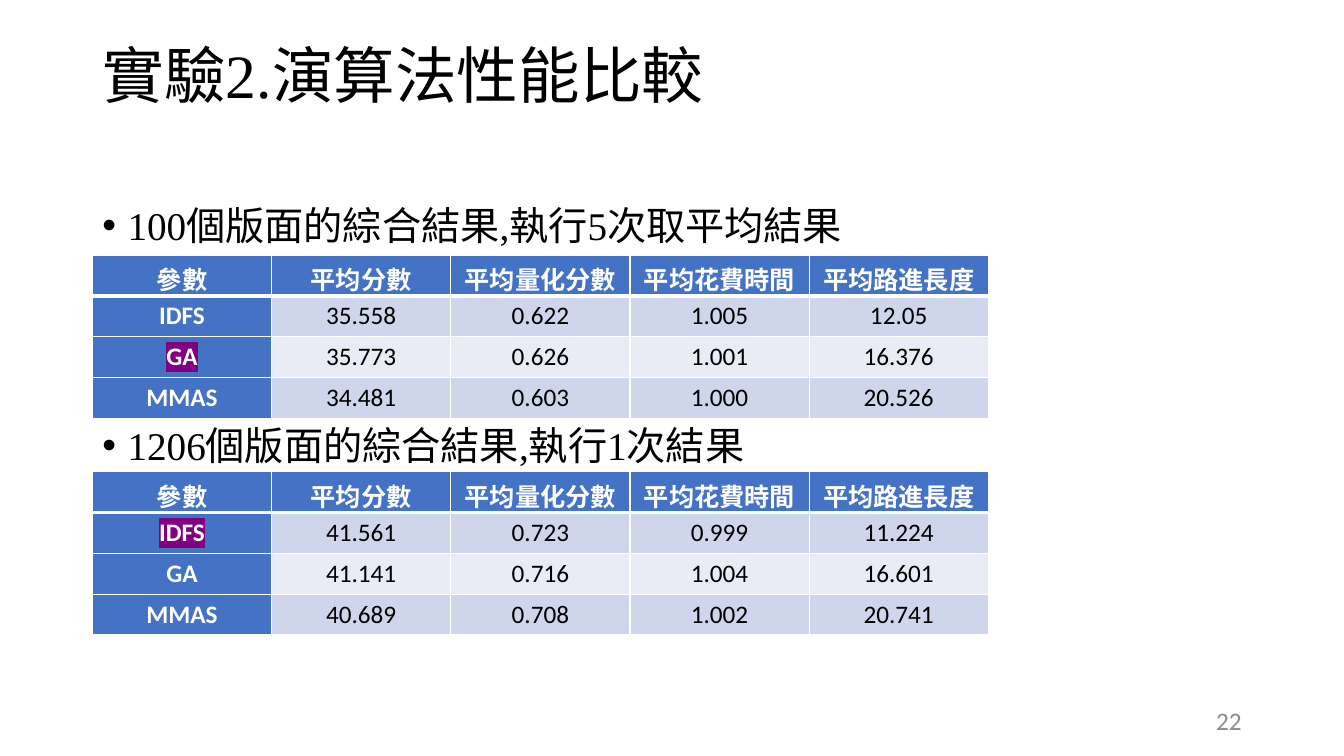
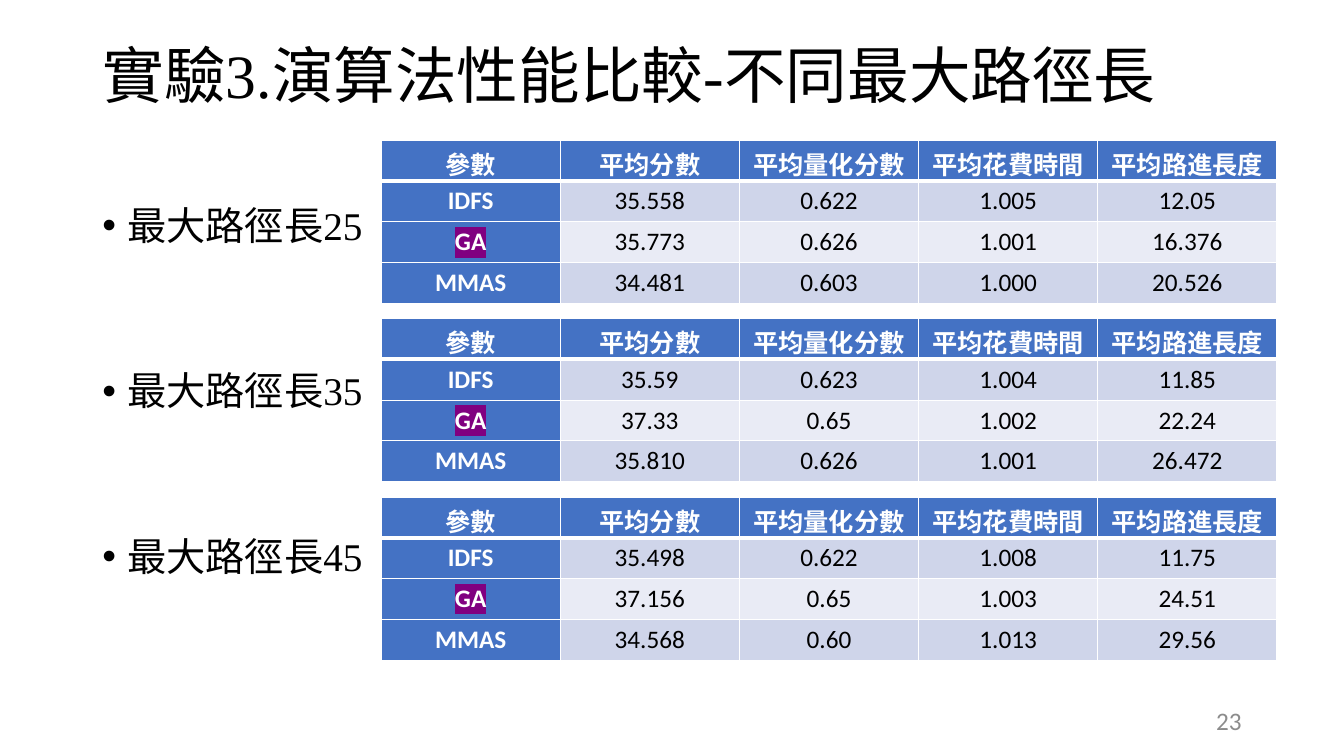
"""Build two slides that compare search algorithms in tables."""
from lxml.etree import SubElement
from pptx import Presentation
from pptx.dml.color import RGBColor
from pptx.enum.text import MSO_ANCHOR, MSO_AUTO_SIZE, PP_ALIGN
from pptx.oxml.ns import qn
from pptx.util import Emu, Inches, Pt

COLS, ROWS = 80, 45
LEFT, WIDE = 5.5, 69
HEAD = ["參數", "平均分數", "平均量化分數", "平均花費時間", "平均路進長度"]
BASE = [
    ["IDFS", "35.558", "0.622", "1.005", "12.05"],
    ["GA", "35.773", "0.626", "1.001", "16.376"],
    ["MMAS", "34.481", "0.603", "1.000", "20.526"],
]
FULL = [
    ["IDFS", "41.561", "0.723", "0.999", "11.224"],
    ["GA", "41.141", "0.716", "1.004", "16.601"],
    ["MMAS", "40.689", "0.708", "1.002", "20.741"],
]
MID = [
    ["IDFS", "35.59", "0.623", "1.004", "11.85"],
    ["GA", "37.33", "0.65", "1.002", "22.24"],
    ["MMAS", "35.810", "0.626", "1.001", "26.472"],
]
LONG = [
    ["IDFS", "35.498", "0.622", "1.008", "11.75"],
    ["GA", "37.156", "0.65", "1.003", "24.51"],
    ["MMAS", "34.568", "0.60", "1.013", "29.56"],
]


def tint(code):
    return RGBColor.from_string(code)


def solid(node, code, tag="a:solidFill"):
    fill = SubElement(node, qn(tag))
    SubElement(fill, qn("a:srgbClr"), val=code)
    return fill


class Deck:
    serif, sans = "Times New Roman", "Calibri"
    ink, white, gray = "000000", "FFFFFF", "8C8C8C"
    blue, bands, mark = "4472C4", ("CFD5EA", "E9EBF5"), "800080"

    def __init__(self):
        self.show = Presentation()
        self.show.slide_width = Inches(13.33)
        self.show.slide_height = Inches(7.5)
        self.slide = None

    def box(self, left, top, width, height):
        across = self.show.slide_width / COLS
        down = self.show.slide_height / ROWS
        return (Emu(round(left * across)), Emu(round(top * down)),
                Emu(round(width * across)), Emu(round(height * down)))

    def style(self, para, size, face, code, align=PP_ALIGN.LEFT, bold=False):
        para.alignment = align
        for run in para.runs:
            font = run.font
            font.size, font.name, font.bold = Pt(size), face, bold
            font.color.rgb = tint(code)

    def page(self, title, number):
        self.slide = self.show.slides.add_slide(self.show.slide_layouts[5])
        shape = self.slide.shapes.title
        shape.left, shape.top, shape.width, shape.height = self.box(LEFT, 2.4, WIDE, 8.7)
        frame = shape.text_frame
        frame.text = title
        frame.auto_size = MSO_AUTO_SIZE.NONE
        frame.vertical_anchor = MSO_ANCHOR.TOP
        para = frame.paragraphs[0]
        para.line_spacing = 0.9
        self.style(para, 44, self.serif, self.ink)
        frame = self.text(56.5, 41.7, 18, 2.4)
        frame.text = str(number)
        frame.vertical_anchor = MSO_ANCHOR.MIDDLE
        self.style(frame.paragraphs[0], 18, self.sans, self.gray, PP_ALIGN.RIGHT)

    def text(self, *area):
        frame = self.slide.shapes.add_textbox(*self.box(*area)).text_frame
        frame.word_wrap = True
        return frame

    def list(self, items, gap):
        frame = self.text(LEFT, 12, WIDE, 28.56)
        frame.text = "\n".join(items)
        for place, para in enumerate(frame.paragraphs):
            para.line_spacing = 0.9
            para.space_before = Pt(gap if place else 10)
            self.style(para, 28, self.serif, self.ink)
            props = para._p.get_or_add_pPr()
            props.set("marL", str(Inches(0.25)))
            props.set("indent", str(-Inches(0.25)))
            SubElement(props, qn("a:buFont"), typeface="Arial")
            SubElement(props, qn("a:buChar"), char="•")

    def edge(self, cell, row):
        props = cell._tc.get_or_add_tcPr()
        thick = {"L": 1, "R": 1, "T": 3 if row == 1 else 1, "B": 1 if row else 3}
        for side, width in thick.items():
            line = SubElement(props, qn("a:ln" + side), w=str(Pt(width)))
            solid(line, self.white)

    def table(self, left, top, data, best):
        grid = [HEAD] + data
        area = self.box(left, top, 53.33, 9.72)
        table = self.slide.shapes.add_table(len(grid), len(HEAD), *area).table
        table.horz_banding = False
        for row, line in enumerate(grid):
            for col, word in enumerate(line):
                cell = table.cell(row, col)
                key = row == 0 or col == 0
                self.edge(cell, row)
                cell.fill.solid()
                cell.fill.fore_color.rgb = tint(self.blue if key else self.bands[(row - 1) % 2])
                cell.text_frame.text = word
                para = cell.text_frame.paragraphs[0]
                self.style(para, 18, self.sans, self.white if key else self.ink,
                           PP_ALIGN.CENTER, key)
                if word == best:
                    props = para.runs[0]._r.get_or_add_rPr()
                    glow = solid(props, self.mark, "a:highlight")
                    props.find(qn("a:solidFill")).addnext(glow)


def main():
    deck = Deck()
    deck.page("實驗2.演算法性能比較", 22)
    deck.list(["100個版面的綜合結果,執行5次取平均結果", "1206個版面的綜合結果,執行1次結果"], 127)
    deck.table(LEFT, 15.18, BASE, "GA")
    deck.table(LEFT, 28.08, FULL, "IDFS")

    deck.page("實驗3.演算法性能比較-不同最大路徑長", 23)
    deck.list([f"最大路徑長{size}" for size in (25, 35, 45)], 88)
    for place, data in enumerate((BASE, MID, LONG)):
        deck.table(22.68, 8.34 + place * 10.62, data, "GA")
    deck.show.save("out.pptx")


if __name__ == "__main__":
    main()
